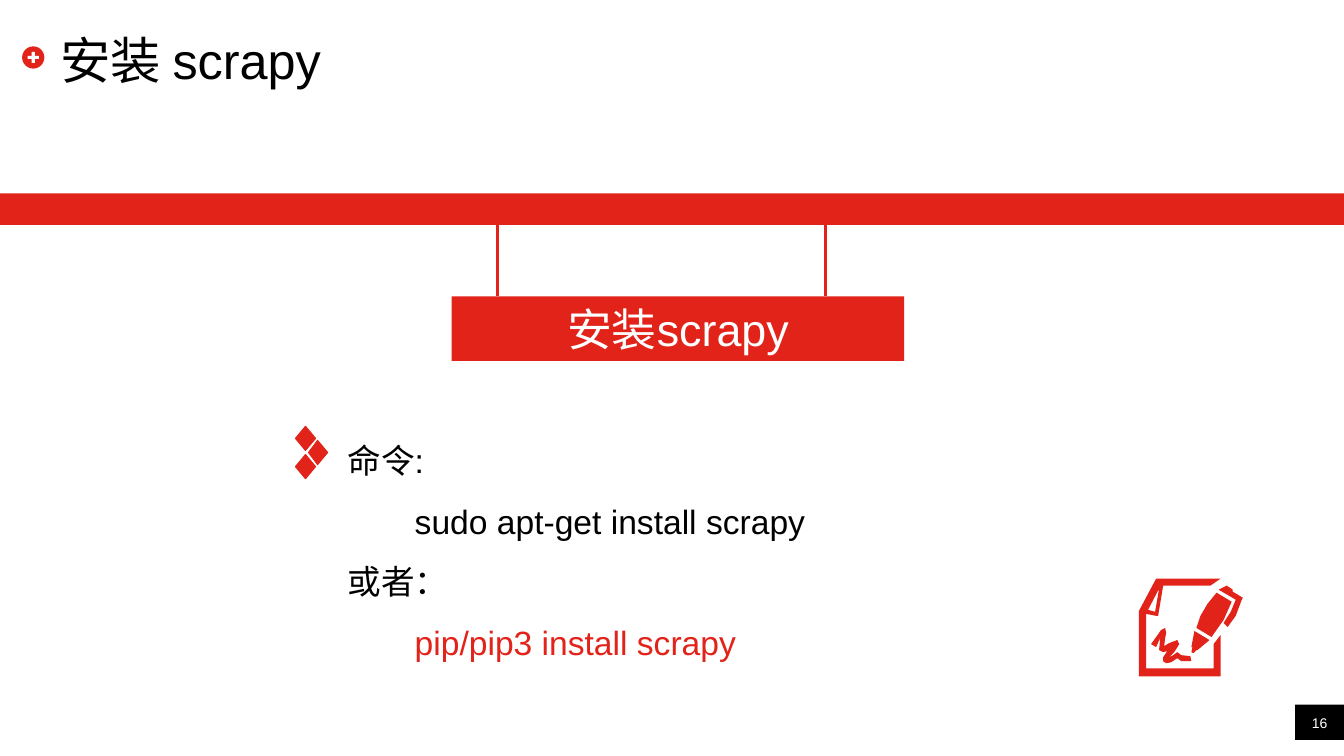
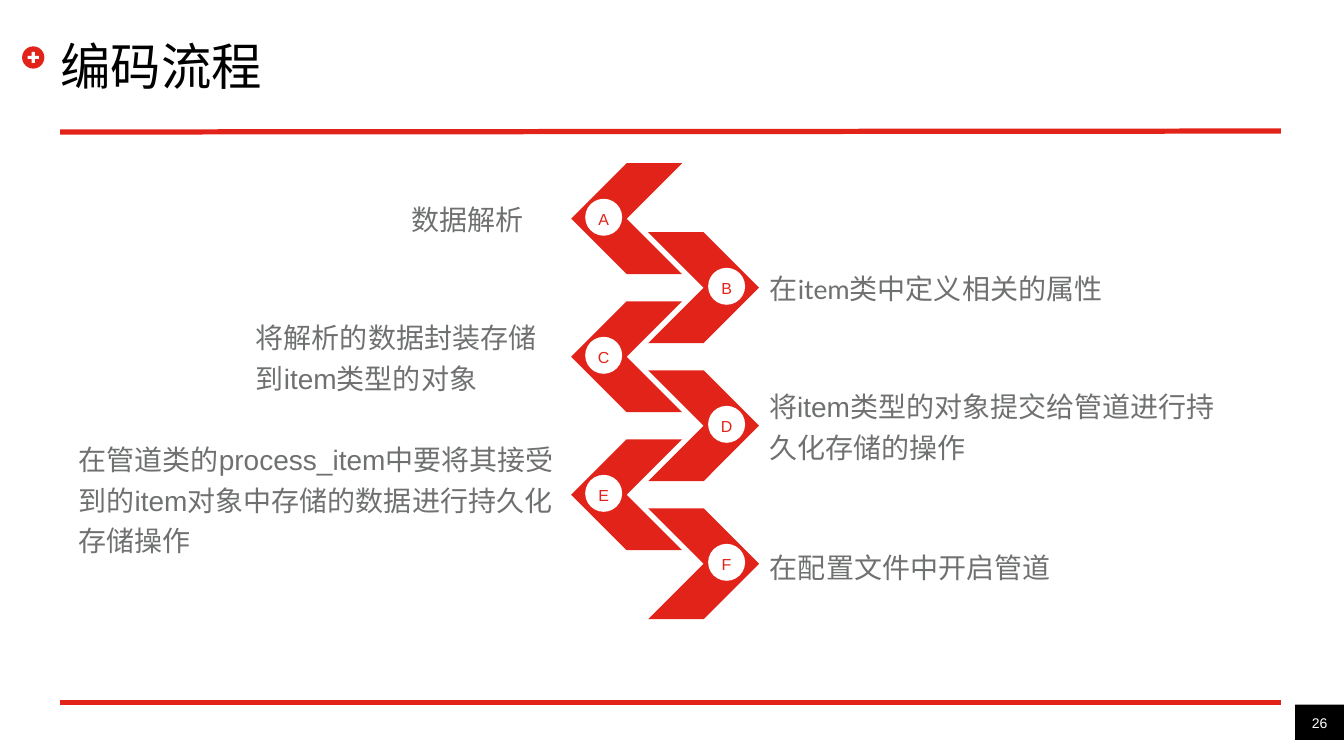
import pptx
import pptx.util
import pptx.dml.color
import pptx.enum.shapes
import pptx.enum.text
import pptx.oxml

Pt = pptx.util.Pt
Shape = pptx.enum.shapes.MSO_SHAPE
Align = pptx.enum.text.PP_ALIGN
Anchor = pptx.enum.text.MSO_ANCHOR

COLORS = {"red": "E2231A", "black": "000000", "white": "FFFFFF", "grey": "6F7170"}
WIDTH, HEIGHT = 960, 540
HUNDREDTH_INCH = 0.72
TITLE_BOX = (43.2, 21.6, 872, 41)
BADGE_BOX = (15.8, 33.1, 15.9, 15.9)
NUMBER_BOX = (925.2, 503.3, 34.8, 25.2)

# Outlines in hundredths of an inch, measured from the icon's top left corner.
DIAMONDS = [
    [(10, 28), (20, 40), (10, 52), (0, 40)],
    [(22, 14), (32, 26), (22, 38), (13, 26)],
    [(10, 0), (20, 12), (10, 24), (0, 12)],
]
PAPER_AND_PEN = [
    # paper edge
    [(17, 0), (81, 0), (71, 7), (24, 7), (19, 37), (17, 37), (7, 35), (7, 89),
     (74, 89), (74, 65), (81, 56), (81, 97), (0, 97), (0, 32), (16, 2)],
    # folded corner
    [(20, 10), (9, 31), (16, 33)],
    # handwriting
    [(12, 65), (17, 68), (21, 59), (20, 71), (24, 73), (28, 72), (24, 78), (24, 82),
     (27, 84), (32, 83), (38, 79), (42, 82), (52, 82), (51, 77), (42, 76), (38, 73),
     (34, 76), (30, 78), (35, 73), (40, 65), (38, 61), (30, 64), (25, 67), (26, 59),
     (27, 54), (26, 49), (22, 51)],
    # nib
    [(55, 52), (52, 68), (53, 68), (52, 73), (54, 74), (57, 71), (58, 71), (70, 61)],
    # clip
    [(93, 13), (93, 11), (87, 7), (79, 11), (96, 21), (91, 33), (84, 44), (88, 48),
     (96, 37), (102, 21), (103, 19)],
    # barrel
    [(77, 14), (68, 25), (61, 37), (57, 49), (72, 58), (84, 41), (92, 23)],
]

# Letter, text, text left, text width, vertical nudge, font, line spacing
STEPS = [
    ("A", "数据解析", 286.6, 113.8, -1.8, "Calibri", 1.2),
    ("B", "在item类中定义相关的属性", 542.9, 283, -1.8, "Calibri", 1.2),
    ("C", "将解析的数据封装存储到item类型的对象", 175.7, 225.4, -1.6, "Arial", 1.2),
    ("D", "将item类型的对象提交给管道进行持久化存储的操作", 542.2, 332.6, -1.6, "Arial", 1.2),
    ("E", "在管道类的process_item中要将其接受到的item对象中存储的数据进行持久化存储操作",
     49, 358.6, 1.4, "Arial", 1.2),
    ("F", "在配置文件中开启管道", 542.9, 217.4, -1.2, "Arial", 1.3),
]


def points(*lengths):
    """Turn numbers into point lengths."""
    return [Pt(length) for length in lengths]


def rgb(name):
    """Look up a palette colour."""
    return pptx.dml.color.RGBColor.from_string(COLORS[name])


def paint(shape, fill):
    """Give a shape a plain fill with no line or shadow."""
    shape.shadow.inherit = False
    shape.fill.solid()
    shape.fill.fore_color.rgb = rgb(fill)
    shape.line.fill.background()
    return shape


def add_block(slide, kind, box, fill):
    """Add a plain preset shape."""
    return paint(slide.shapes.add_shape(kind, *points(*box)), fill)


def add_outline(slide, left, top, contours, fill):
    """Add one shape made of several closed contours."""
    builder = slide.shapes.build_freeform(*contours[0][0], scale=Pt(HUNDREDTH_INCH))
    for contour in contours:
        builder.move_to(*contour[0])
        builder.add_line_segments(contour[1:], close=True)
    return paint(builder.convert_to_shape(*points(left, top)), fill)


def add_line(slide, start, end, width):
    """Add a straight red line."""
    connector = slide.shapes.add_connector(
        pptx.enum.shapes.MSO_CONNECTOR.STRAIGHT, *points(*start, *end))
    connector.line.color.rgb = rgb("red")
    connector.line.width = Pt(width)
    properties = connector._element.spPr
    properties.append(pptx.oxml.parse_xml(
        '<a:effectLst xmlns:a="http://schemas.openxmlformats.org/drawingml/2006/main"/>'))


def write(shape, text, size, color="black", font="Arial", align=Align.LEFT,
          anchor=Anchor.TOP, spacing=None, indent=0, inset=True, append=False):
    """Write one paragraph into a shape, or append it after the others."""
    frame = shape.text_frame
    frame.word_wrap = True
    frame.vertical_anchor = anchor
    if not inset:
        frame.margin_left = frame.margin_right = frame.margin_top = frame.margin_bottom = 0
    paragraph = frame.add_paragraph() if append else frame.paragraphs[0]
    paragraph.alignment = align
    if spacing:
        paragraph.line_spacing = spacing
    if indent:
        paragraph._p.get_or_add_pPr().set("marL", str(Pt(indent)))
    run = paragraph.add_run()
    run.text = text
    run.font.size = Pt(size)
    run.font.name = font
    run.font.color.rgb = rgb(color)


def add_text(slide, box, text, size, **style):
    """Add a text box holding one paragraph."""
    shape = slide.shapes.add_textbox(*points(*box))
    write(shape, text, size, **style)
    return shape


def add_badge(slide, box):
    """Draw the round plus sign beside the title."""
    left, top, width, height = box
    add_block(slide, Shape.OVAL, box, "red")
    plus = add_block(slide, Shape.CROSS, (left + width / 4, top + height / 4,
                                          width / 2, height / 2), "white")
    plus.adjustments[0] = 0.36


def add_page(presentation, title, number, spacing=None):
    """Start a slide with its badge, title and page number."""
    slide = presentation.slides.add_slide(presentation.slide_layouts[6])
    left, top, width, height = NUMBER_BOX
    add_block(slide, Shape.RECTANGLE, NUMBER_BOX, "black")
    add_text(slide, (left, top, width, height * 0.77), str(number), 10, color="white",
             align=Align.CENTER, anchor=Anchor.BOTTOM, inset=False)
    add_badge(slide, BADGE_BOX)
    add_text(slide, TITLE_BOX, title, 36, anchor=Anchor.MIDDLE, spacing=spacing, inset=False)
    return slide


def add_hanging_sign(slide, box, band_top, band_height, text):
    """Hang a red sign from a band across the slide."""
    left, top, width, height = box
    band_bottom = band_top + band_height
    add_block(slide, Shape.RECTANGLE, (0, band_top, WIDTH, band_height), "red")
    sign = add_block(slide, Shape.RECTANGLE, box, "red")
    write(sign, text, 32, color="white", align=Align.CENTER)
    for offset in (33, 267):
        add_line(slide, (left + offset, band_bottom), (left + offset, top), 2)


def add_commands(slide, box):
    """List the install commands beside the diamond marker."""
    left, top, width, height = box
    style = {"align": Align.JUSTIFY, "spacing": 1.5}
    commands = add_text(slide, box, "命令:", 24, **style)
    write(commands, "sudo apt-get install scrapy", 24, indent=48, append=True, **style)
    write(commands, "或者:".replace(":", "\uff1a"), 24, append=True, **style)
    write(commands, "pip/pip3 install scrapy", 24, color="red", indent=48,
          append=True, **style)
    marker = add_outline(slide, left - 30.2, top + 7.9, DIAMONDS, "red")
    marker.line.color.rgb = rgb("red")
    marker.line.width = Pt(0.75)


def build_install_slide(presentation):
    """Build the slide on installing."""
    slide = add_page(presentation, "安装 scrapy", 16)
    add_hanging_sign(slide, (322.6, 211.7, 323.3, 46.1), 138.2, 22.5, "安装scrapy")
    add_commands(slide, (241.2, 296.6, 508.3, 216.7))
    add_outline(slide, 813.6, 413.3, PAPER_AND_PEN, "red")


def add_step(slide, box, step, points_left):
    """Draw one chevron with its lettered disc and its text."""
    letter, text, text_left, text_width, nudge, font, spacing = step
    left, top, width, height = box
    disc, margin, text_height = 26.4, 10, 75.6
    chevron = add_block(slide, Shape.CHEVRON, box, "red")
    if points_left:
        chevron.rotation = 180
    disc_left = left + (margin if points_left else width - margin - disc)
    circle = add_block(slide, Shape.OVAL,
                       (disc_left, top + (height - disc) / 2 - 1, disc, disc), "white")
    write(circle, letter, 11.4, color="red", align=Align.CENTER, anchor=Anchor.MIDDLE,
          spacing=1.2, inset=False)
    text_top = top + (height - text_height) / 2 + nudge
    add_text(slide, (text_left, text_top, text_width, text_height), text, 20,
             color="grey", font=font, anchor=Anchor.MIDDLE, spacing=spacing)


def build_process_slide(presentation):
    """Build the slide with the zigzag of steps."""
    slide = add_page(presentation, "编码流程", 26, spacing=1.2)
    chevron, pitch, first_top = 79.2, 49.3, 116.6
    for index, step in enumerate(STEPS):
        points_left = index % 2 == 0
        left = 408 if points_left else 463
        add_step(slide, (left, first_top + index * pitch, chevron, chevron), step, points_left)
    for start_y, end_y in ((94.3, 93.6), (501.8, 501.8)):
        add_line(slide, (43, start_y), (915, end_y), 3.75)


def main():
    """Build and save the presentation."""
    presentation = pptx.Presentation()
    presentation.slide_width, presentation.slide_height = points(WIDTH, HEIGHT)
    build_install_slide(presentation)
    build_process_slide(presentation)
    presentation.save("out.pptx")


main()
